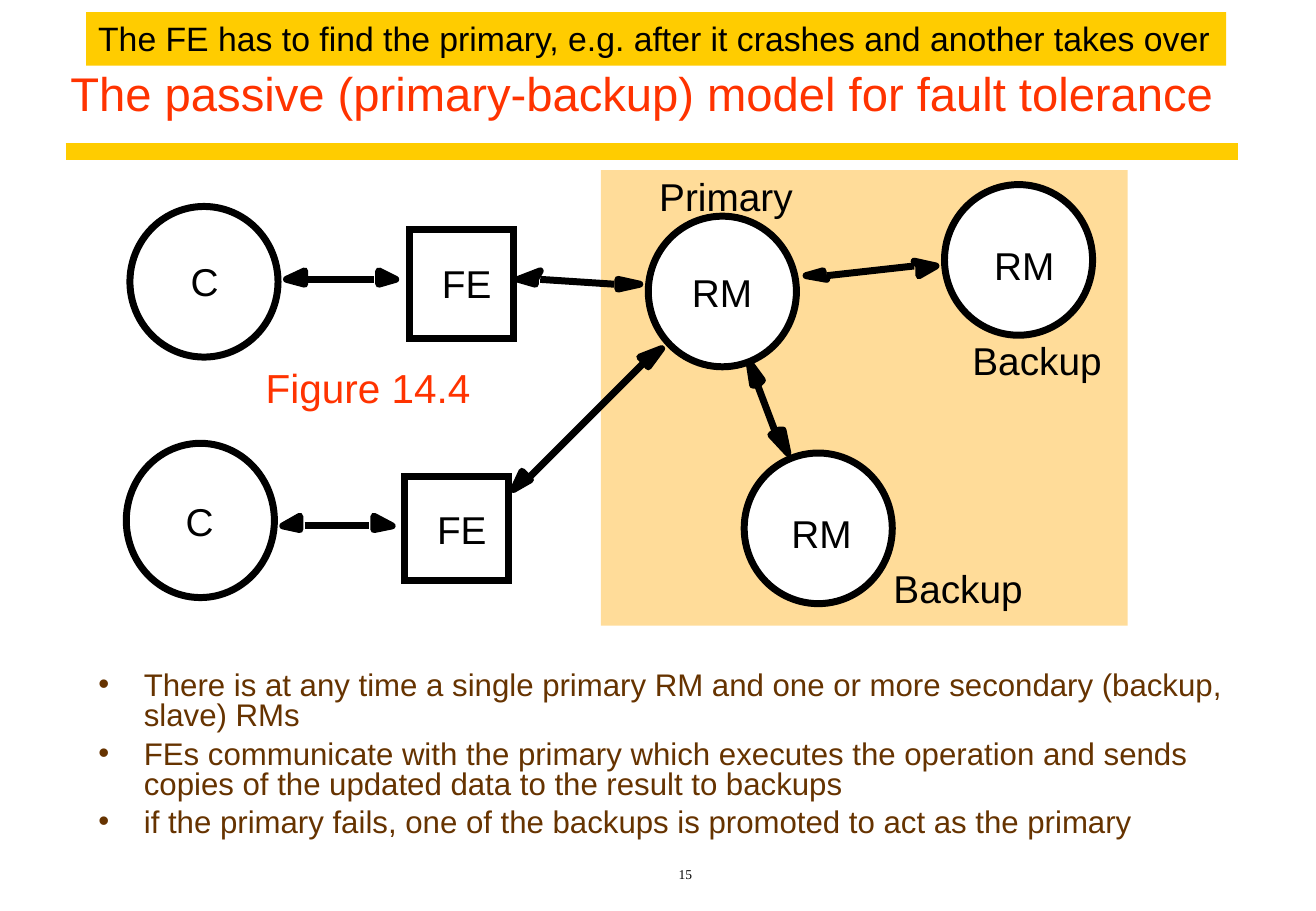
"""Build the slide on the passive replication model."""
import dataclasses

import lxml.etree
import pptx
import pptx.dml.color
import pptx.enum.shapes
import pptx.enum.text
import pptx.oxml.ns
import pptx.util

SCALE = 9144
KIND = pptx.enum.shapes.MSO_SHAPE
ALIGN = pptx.enum.text.PP_ALIGN
ANCHOR = pptx.enum.text.MSO_ANCHOR
FIT = pptx.enum.text.MSO_AUTO_SIZE


@dataclasses.dataclass(frozen=True)
class Theme:
    """Hold the colours, fonts and type sizes."""
    ink: str = "000000"
    paper: str = "FFFFFF"
    gold: str = "FFCC00"
    sand: str = "FFDC99"
    red: str = "FF3300"
    brown: str = "663300"
    sans: str = "Arial"
    serif: str = "Times New Roman"
    title: float = 28
    figure: float = 24
    label: float = 23
    banner: float = 20
    body: float = 18.5
    number: float = 8
    stroke: float = 4.14
    rule: float = 10


THEME = Theme()

POINTS = [
    "There is at any time a single primary RM and one or more secondary (backup, slave) RMs",
    "FEs communicate with the primary which executes the operation and sends copies of the"
    " updated data to the result to backups",
    "if the primary fails, one of the backups is promoted to act as the primary",
]

NODES = [
    (KIND.OVAL, (107, 170, 122, 124), None, "C", (157, 212, 23)),
    (KIND.OVAL, (104, 365, 122, 127), None, "C", (153, 410, 23)),
    (KIND.RECTANGLE, (337, 189, 86, 90), None, "FE", (364, 214, 41)),
    (KIND.RECTANGLE, (333, 392, 86, 86), None, "FE", (360, 416, 41)),
    (KIND.OVAL, (534, 178, 122, 124), THEME.paper, "RM", (570, 221, 50)),
    (KIND.OVAL, (778, 152, 122, 124), THEME.paper, "RM", (819, 199, 50)),
    (KIND.OVAL, (613, 373, 122, 124), THEME.paper, "RM", (652, 420, 50)),
]

ROLES = [
    ("Primary", (543, 142, 111)),
    ("Backup", (801, 277, 107)),
    ("Backup", (736, 465, 107)),
]

ARROWS = [
    ([(254, 230), (308, 230)],
     [(251, 230), (251, 234), (236, 230), (251, 223)],
     [(312, 230), (312, 223), (326, 230), (312, 234)]),
    ([(251, 433), (304, 433)],
     [(247, 433), (247, 436), (233, 433), (247, 425)],
     [(308, 433), (308, 425), (323, 433), (308, 436)]),
    ([(445, 230), (506, 234)],
     [(441, 230), (441, 234), (427, 230), (445, 223)],
     [(509, 234), (509, 230), (527, 234), (509, 238)]),
    ([(437, 392), (531, 298)],
     [(434, 392), (437, 395), (423, 403), (430, 388)],
     [(531, 298), (527, 294), (545, 287), (534, 302)]),
    ([(624, 317), (638, 354)],
     [(624, 317), (620, 317), (617, 298), (628, 313)],
     [(642, 354), (645, 354), (649, 373), (635, 358)]),
    ([(753, 219), (681, 227)],
     [(757, 219), (753, 215), (771, 219), (757, 227)],
     [(678, 227), (681, 230), (664, 227), (678, 223)]),
]


def px(*sizes):
    """Turn whole px into a list of EMU."""
    return [pptx.util.Emu(size * SCALE) for size in sizes]


def tint(code):
    """Return the colour for a hex code."""
    return pptx.dml.color.RGBColor.from_string(code)


def style(para, size, color, face=THEME.sans):
    """Set the font of a paragraph."""
    font = para.font
    font.size = pptx.util.Pt(size)
    font.name = face
    font.color.rgb = tint(color)


def paint(shape, fill=None, line=None, join="round"):
    """Set the fill and outline of a shape."""
    shape.shadow.inherit = False
    if fill:
        shape.fill.solid()
        shape.fill.fore_color.rgb = tint(fill)
    else:
        shape.fill.background()
    if line:
        shape.line.color.rgb = tint(line)
        shape.line.width = pptx.util.Pt(THEME.stroke)
        edge = shape.element.spPr.find(pptx.oxml.ns.qn("a:ln"))
        lxml.etree.SubElement(edge, pptx.oxml.ns.qn("a:" + join))
    else:
        shape.line.fill.background()


def block(slide, kind, box, fill=None, line=None):
    """Add a preset shape."""
    shape = slide.shapes.add_shape(kind, *px(*box))
    paint(shape, fill, line, "miter" if kind == KIND.RECTANGLE else "round")
    return shape


def stroke(slide, ends, color, width):
    """Add a straight line."""
    start, stop = ends
    line = slide.shapes.add_connector(
        pptx.enum.shapes.MSO_CONNECTOR.STRAIGHT, *px(*start, *stop))
    line.line.color.rgb = tint(color)
    line.line.width = pptx.util.Pt(width)
    lxml.etree.SubElement(line.element.spPr, pptx.oxml.ns.qn("a:effectLst"))


def arrow(slide, shaft, *heads):
    """Add a shaft with its drawn heads."""
    for head in heads:
        pen = slide.shapes.build_freeform(*head[0], scale=SCALE)
        pen.add_line_segments(head[1:], close=True)
        paint(pen.convert_to_shape(), THEME.ink, THEME.ink)
    stroke(slide, shaft, THEME.ink, THEME.stroke)


def write(shape, text, size, color, face=THEME.sans, pad=(10, 5), align=ALIGN.LEFT):
    """Put one line of text in a shape that grows with it."""
    frame = shape.text_frame
    frame.word_wrap = False
    frame.auto_size = FIT.SHAPE_TO_FIT_TEXT
    frame.vertical_anchor = ANCHOR.TOP
    frame.margin_left, frame.margin_top = px(*pad)
    frame.margin_right, frame.margin_bottom = px(*pad)
    para = frame.paragraphs[0]
    para.text = text
    para.alignment = align
    style(para, size, color, face)


def label(slide, text, spot):
    """Add a tight label to the diagram."""
    box = slide.shapes.add_textbox(*px(*spot, 38))
    write(box, text, THEME.label, THEME.ink, pad=(0, 0))


def place(shape, box):
    """Move a placeholder and return its text frame."""
    shape.left, shape.top, shape.width, shape.height = px(*box)
    frame = shape.text_frame
    frame.auto_size = FIT.NONE
    return frame


def head(slide, text):
    """Fill the title."""
    frame = place(slide.shapes.title, (48, 25, 972, 80))
    frame.vertical_anchor = ANCHOR.BOTTOM
    para = frame.paragraphs[0]
    para.text = text
    para.alignment = ALIGN.LEFT
    para.line_spacing = 0.9
    style(para, THEME.title, THEME.red)


def points(slide, lines):
    """Fill the bullet list."""
    frame = place(slide.placeholders[1], (71, 549, 969, 152))
    frame.text = "\n".join(lines)
    for rank, para in enumerate(frame.paragraphs):
        para.line_spacing = 0.8
        para.space_before = pptx.util.Pt(5 if rank else 0)
        style(para, THEME.body, THEME.brown)


def main():
    """Build and save the slide."""
    deck = pptx.Presentation()
    deck.slide_width, deck.slide_height = px(1084, 750)
    slide = deck.slides.add_slide(deck.slide_layouts[1])
    stroke(slide, [(54, 125), (1020, 125)], THEME.gold, THEME.rule)
    head(slide, "The passive (primary-backup) model for fault tolerance")
    points(slide, POINTS)
    block(slide, KIND.RECTANGLE, (495, 140, 434, 375), THEME.sand)
    for parts in ARROWS:
        arrow(slide, *parts)
    for kind, box, fill, text, spot in NODES:
        block(slide, kind, box, fill, THEME.ink)
        label(slide, text, spot)
    for text, spot in ROLES:
        label(slide, text, spot)
    figure = slide.shapes.add_textbox(*px(209, 294, 189, 50))
    write(figure, "Figure 14.4", THEME.figure, THEME.red)
    banner = block(slide, KIND.RECTANGLE, (71, 10, 939, 44), THEME.gold)
    write(banner, "The FE has to find the primary, e.g. after it crashes and another takes over",
          THEME.banner, THEME.ink)
    number = slide.shapes.add_textbox(*px(235, 700, 659, 31))
    write(number, "15", THEME.number, THEME.ink, THEME.serif, align=ALIGN.CENTER)
    number.text_frame.word_wrap = True
    number.text_frame.auto_size = FIT.NONE
    number.text_frame.vertical_anchor = ANCHOR.BOTTOM
    deck.save("out.pptx")


if __name__ == "__main__":
    main()
